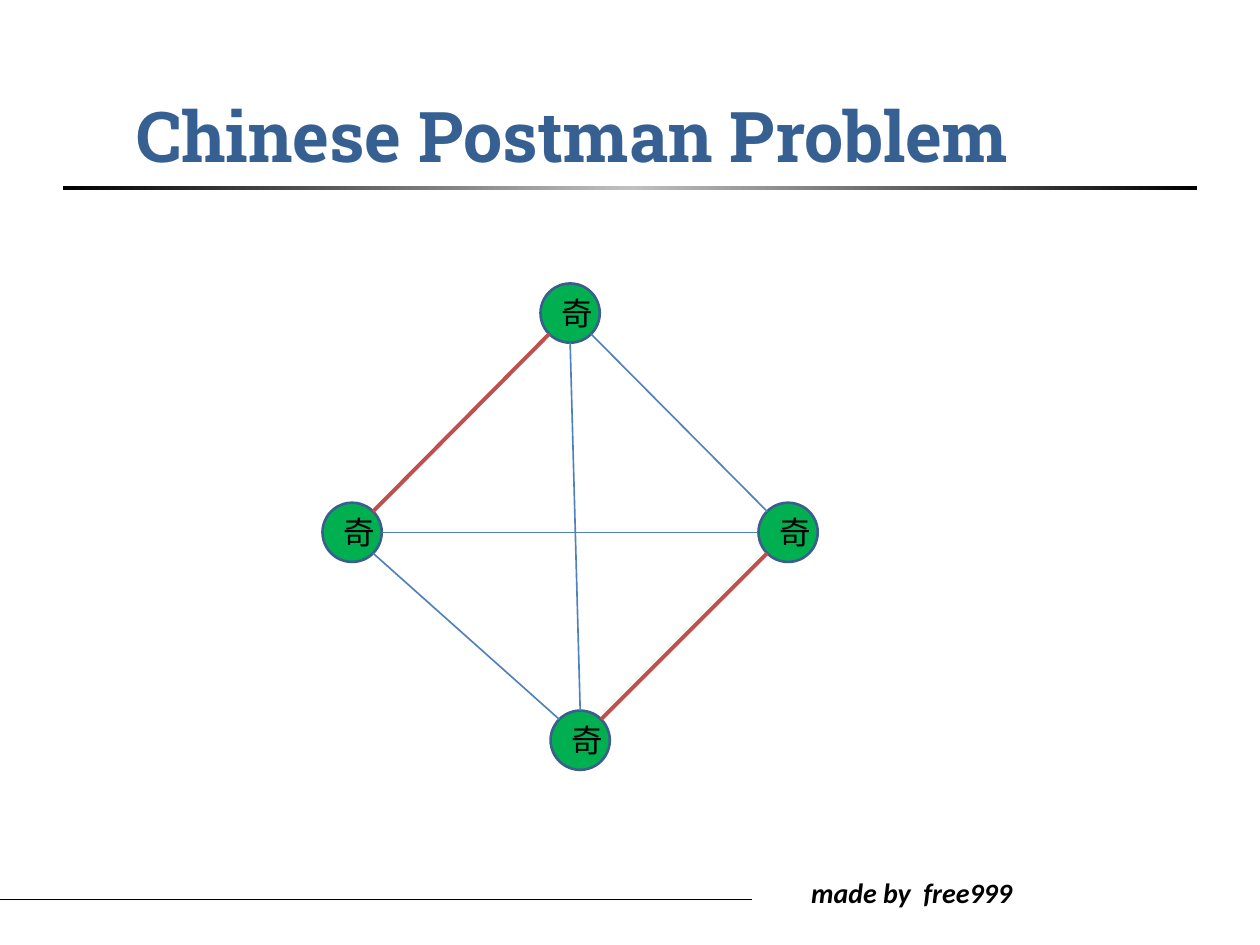
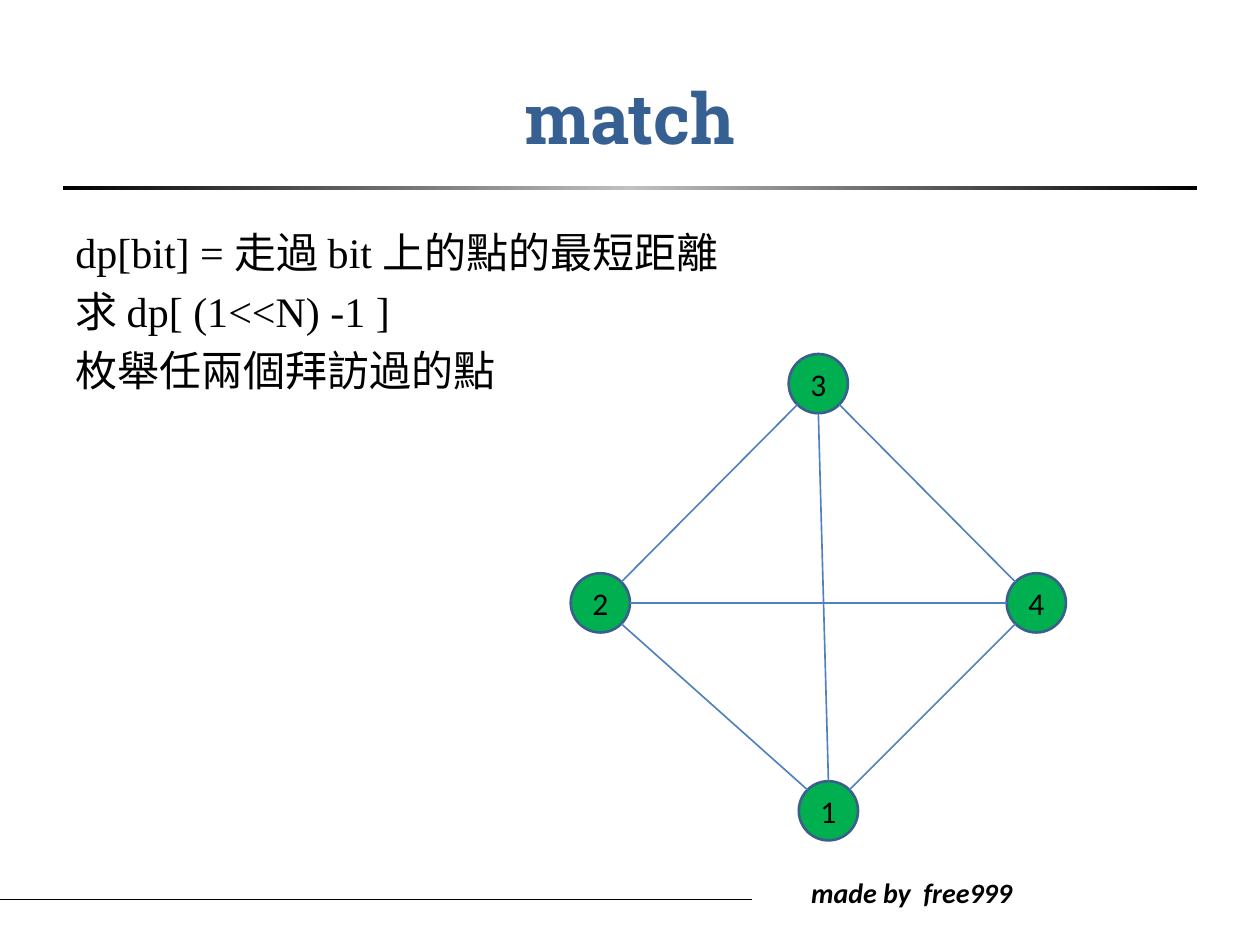
"""Build two slides about the Chinese Postman Problem and its matching step."""
import copy
import math
from typing import NamedTuple

import lxml.etree
import pptx
import pptx.dml.color
import pptx.enum.shapes
import pptx.enum.text
import pptx.oxml.ns
import pptx.util

EMU_PER_PX = 9144
BLACK = pptx.dml.color.RGBColor(0x00, 0x00, 0x00)
SILVER = pptx.dml.color.RGBColor(0xC0, 0xC0, 0xC0)
TITLE_BLUE = pptx.dml.color.RGBColor(0x37, 0x60, 0x92)
NODE_GREEN = pptx.dml.color.RGBColor(0x00, 0xB0, 0x50)
NODE_RIM = pptx.dml.color.RGBColor(0x3A, 0x5F, 0x8C)
EDGE_BLUE = pptx.dml.color.RGBColor(0x4F, 0x81, 0xBD)
MATCH_RED = pptx.dml.color.RGBColor(0xC0, 0x50, 0x4D)
NODE_SIZE = 47


class Area(NamedTuple):
    left: int
    top: int
    width: int
    height: int


class Node(NamedTuple):
    name: str
    left: int
    top: int


class Edge(NamedTuple):
    start: str
    start_site: int
    end: str
    end_site: int


NODES = (
    Node("west", 0, 174),
    Node("north", 173, 0),
    Node("east", 346, 174),
    Node("south", 181, 339),
)
EDGES = (
    Edge("west", 7, "north", 3),
    Edge("west", 5, "south", 1),
    Edge("north", 5, "east", 1),
    Edge("south", 7, "east", 3),
    Edge("west", 6, "east", 2),
    Edge("north", 4, "south", 0),
)
MATCHED_PAIRS = (("west", "north"), ("south", "east"))


def px(length: float) -> pptx.util.Emu:
    """Turn px into EMU."""
    return pptx.util.Emu(round(length * EMU_PER_PX))


def place(area: Area) -> tuple:
    """Give left, top, width and height in EMU."""
    return tuple(px(length) for length in area)


def format_text(frame, font: str, size: int, color, bold: bool = False, italic: bool = False) -> None:
    """Give every run of a text frame one look."""
    for para in frame.paragraphs:
        for span in para.runs:
            span.font.name = font
            span.font.size = pptx.util.Pt(size)
            span.font.color.rgb = color
            span.font.bold = bold
            span.font.italic = italic


def center(frame) -> None:
    """Centre a text frame's first paragraph both ways."""
    frame.vertical_anchor = pptx.enum.text.MSO_ANCHOR.MIDDLE
    frame.paragraphs[0].alignment = pptx.enum.text.PP_ALIGN.CENTER


def add_text(page, area: Area, text: str):
    """Add a wrapping text box and return its frame."""
    frame = page.shapes.add_textbox(*place(area)).text_frame
    frame.word_wrap = True
    frame.text = text
    return frame


def add_line(page, start: tuple, end: tuple, color, width: float):
    """Draw a straight line without a shadow."""
    line = page.shapes.add_connector(
        pptx.enum.shapes.MSO_CONNECTOR.STRAIGHT, *map(px, start), *map(px, end))
    line.line.color.rgb = color
    line.line.width = pptx.util.Pt(width)
    lxml.etree.SubElement(line._element.spPr, pptx.oxml.ns.qn("a:effectLst"))
    return line


def add_title_rule(page) -> None:
    """Draw the band under the title, fading to silver in its middle."""
    rule = page.shapes.add_shape(
        pptx.enum.shapes.MSO_SHAPE.RECTANGLE, *place(Area(50, 148, 900, 3)))
    rule.shadow.inherit = False
    rule.line.fill.background()
    rule.fill.gradient()
    rule.fill.gradient_angle = 0
    stop_list = rule._element.spPr.find(".//" + pptx.oxml.ns.qn("a:gsLst"))
    stop_list.append(copy.deepcopy(stop_list[0]))
    stops = zip(rule.fill.gradient_stops, (0, 0.5, 1), (BLACK, SILVER, BLACK))
    for stop, position, color in stops:
        stop.position = position
        stop.color.rgb = color


def add_page(deck, title: str, title_area: Area):
    """Add a slide with its title, band and footer."""
    page = deck.slides.add_slide(deck.slide_layouts[5])
    add_line(page, (0, 714), (597, 714), BLACK, 0.5)
    footer = add_text(page, Area(634, 690, 277, 37), "made by  free999")
    format_text(footer, "Calibri", 16, BLACK, bold=True, italic=True)
    add_title_rule(page)
    box = page.shapes.title
    box.left, box.top, box.width, box.height = place(title_area)
    box.text_frame.text = title
    center(box.text_frame)
    format_text(box.text_frame, "Roboto Slab", 40, TITLE_BLUE, bold=True)
    return page


def site_point(node: Node, site: int, left: int, top: int) -> tuple:
    """Locate one of a circle's eight sites, counted leftwards from the top."""
    angle = math.radians(90 + 45 * site)
    radius = NODE_SIZE / 2
    return (left + node.left + radius * (1 + math.cos(angle)),
            top + node.top + radius * (1 - math.sin(angle)))


def add_graph(page, left: int, top: int, labels: tuple, matched: tuple = ()) -> None:
    """Draw the four-node complete graph, with matched pairs in red."""
    nodes = {node.name: node for node in NODES}
    circles = {}
    for node, label in zip(NODES, labels):
        area = Area(left + node.left, top + node.top, NODE_SIZE, NODE_SIZE)
        circle = page.shapes.add_shape(pptx.enum.shapes.MSO_SHAPE.OVAL, *place(area))
        circle.shadow.inherit = False
        circle.fill.solid()
        circle.fill.fore_color.rgb = NODE_GREEN
        circle.line.color.rgb = NODE_RIM
        circle.line.width = pptx.util.Pt(1.5)
        circle.text_frame.text = label
        center(circle.text_frame)
        format_text(circle.text_frame, "Calibri", 18, BLACK)
        circles[node.name] = circle
    for edge in EDGES:
        is_matched = (edge.start, edge.end) in matched
        line = add_line(
            page,
            site_point(nodes[edge.start], edge.start_site, left, top),
            site_point(nodes[edge.end], edge.end_site, left, top),
            MATCH_RED if is_matched else EDGE_BLUE,
            2.25 if is_matched else 0.94)
        joints = line._element.nvCxnSpPr.cNvCxnSpPr
        for tag, name, site in (("a:stCxn", edge.start, edge.start_site),
                                ("a:endCxn", edge.end, edge.end_site)):
            lxml.etree.SubElement(joints, pptx.oxml.ns.qn(tag),
                                  id=str(circles[name].shape_id), idx=str(site))


def build_problem_page(deck) -> None:
    """Show the odd nodes paired by a matching."""
    page = add_page(deck, "Chinese Postman Problem", Area(4, 44, 900, 125))
    add_graph(page, 256, 225, ("奇",) * len(NODES), MATCHED_PAIRS)


def build_match_page(deck) -> None:
    """Explain the bitmask recurrence next to the numbered graph."""
    page = add_page(deck, "match", Area(50, 30, 900, 125))
    frame = add_text(page, Area(50, 175, 900, 495), "\n".join((
        "dp[bit] = 走過 bit 上的點的最短距離",
        "求 dp[ (1<<N) -1 ]",
        "枚舉任兩個拜訪過的點",
    )))
    for para in frame.paragraphs:
        para.space_before = pptx.util.Pt(4.8)
    format_text(frame, "Times New Roman", 24, BLACK)
    add_graph(page, 453, 281, ("2", "3", "4", "1"))


def main() -> None:
    """Build and save the deck."""
    deck = pptx.Presentation()
    deck.slide_width, deck.slide_height = px(1000), px(750)
    build_problem_page(deck)
    build_match_page(deck)
    deck.save("out.pptx")


if __name__ == "__main__":
    main()
